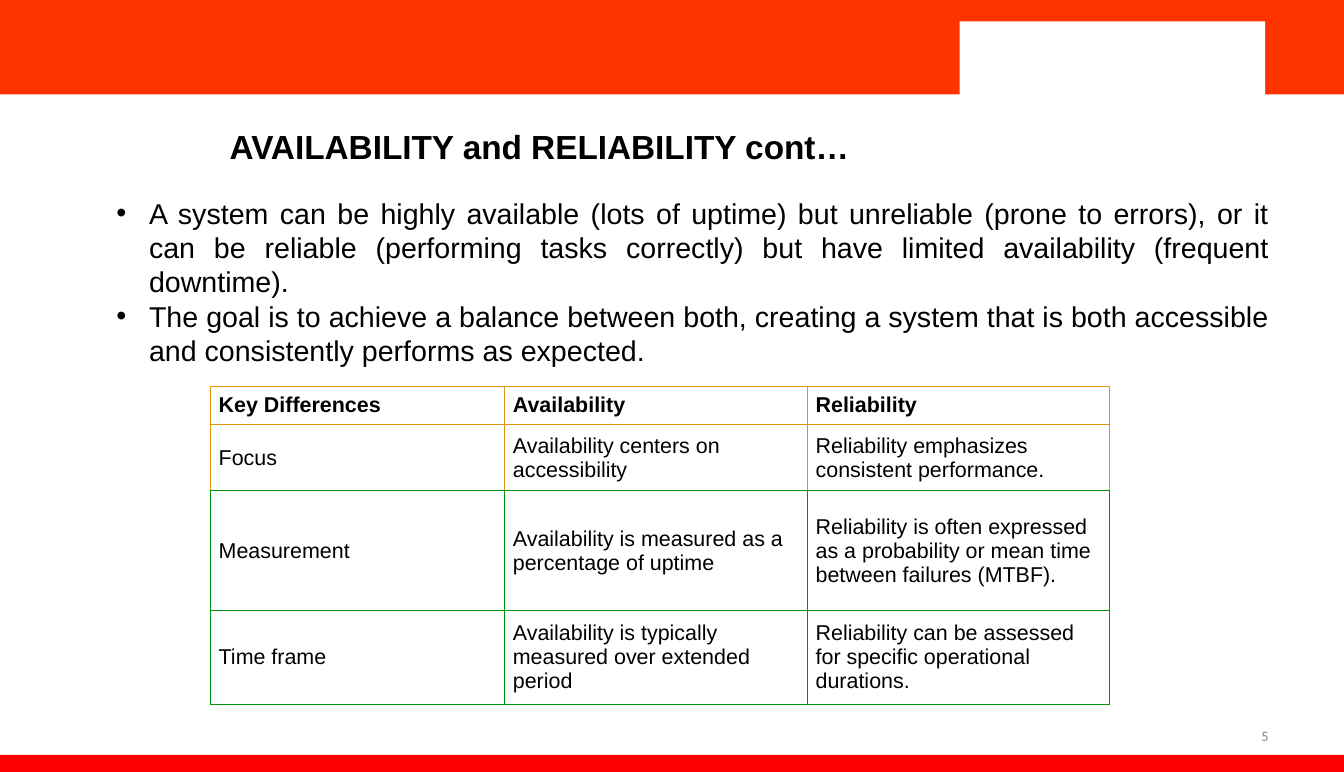
from lxml.etree import SubElement
from pptx import Presentation
from pptx.dml.color import RGBColor
from pptx.enum.shapes import MSO_SHAPE
from pptx.enum.text import MSO_ANCHOR, PP_ALIGN
from pptx.oxml.ns import qn
from pptx.util import Inches, Pt

COLORS = {
    "band": "FF3300",
    "footer": "FF0000",
    "white": "FFFFFF",
    "text": "000000",
    "number": "898989",
    "orange": "E0930E",
    "green": "00920E",
}
BULLETS = [
    "A system can be highly available (lots of uptime) but unreliable (prone to errors), "
    "or it can be reliable (performing tasks correctly) but have limited availability "
    "(frequent downtime).",
    "The goal is to achieve a balance between both, creating a system that is both "
    "accessible and consistently performs as expected.",
]
ROWS = [
    ["Key Differences", "Availability", "Reliability"],
    ["Focus", "Availability centers on accessibility",
     "Reliability emphasizes consistent performance."],
    ["Measurement", "Availability is measured as a percentage of uptime",
     "Reliability is often expressed as a probability or mean time between failures (MTBF)."],
    ["Time frame", "Availability is typically measured over extended period",
     "Reliability can be assessed for specific operational durations."],
]
COL_WIDTHS = [3.43, 3.53, 3.53]
ROW_HEIGHTS = [0.45, 0.77, 1.4, 1.09]
BORDERS = [
    ["orange"] * 4,
    ["orange", "orange", "orange", "green"],
    ["green"] * 4,
    ["green"] * 4,
]


def rgb(name):
    return RGBColor.from_string(COLORS[name])


def add_rect(s, box, color):
    sp = s.shapes.add_shape(MSO_SHAPE.RECTANGLE, *map(Inches, box))
    sp.shadow.inherit = False
    sp.fill.solid()
    sp.fill.fore_color.rgb = rgb(color)
    sp.line.fill.background()


def format_text(tf, size, color="text", bold=False, font="Arial", align=PP_ALIGN.LEFT):
    for p in tf.paragraphs:
        p.alignment = align
        for r in p.runs:
            r.font.name = font
            r.font.size = Pt(size)
            r.font.bold = bold
            r.font.color.rgb = rgb(color)


def add_text(s, box, text, size, **style):
    tf = s.shapes.add_textbox(*map(Inches, box)).text_frame
    tf.word_wrap = True
    tf.text = text
    format_text(tf, size, **style)
    return tf


def add_header(s, box):
    left, top, width, height = box
    add_rect(s, box, "band")
    add_rect(s, (left + 11.19, top + 0.25, 3.56, height - 0.2), "white")


def add_bullets(s, box):
    tf = add_text(s, box, "\n".join(BULLETS), 24, align=PP_ALIGN.JUSTIFY)
    for p in tf.paragraphs:
        pPr = p._p.get_or_add_pPr()
        pPr.set("marL", str(Inches(0.38)))
        pPr.set("indent", str(Inches(-0.38)))
        SubElement(pPr, qn("a:buFont"), typeface="Arial")
        SubElement(pPr, qn("a:buChar"), char="•")


def set_borders(cell, colors):
    tcPr = cell._tc.get_or_add_tcPr()
    for side, color in zip("LRTB", colors):
        ln = SubElement(tcPr, qn(f"a:ln{side}"), w=str(Pt(0.75)))
        fill = SubElement(ln, qn("a:solidFill"))
        SubElement(fill, qn("a:srgbClr"), val=COLORS[color])


def add_differences(s, box):
    table = s.shapes.add_table(len(ROWS), len(COL_WIDTHS), *map(Inches, box)).table
    table.horz_banding = False
    for column, width in zip(table.columns, COL_WIDTHS):
        column.width = Inches(width)
    for i, (row, height) in enumerate(zip(table.rows, ROW_HEIGHTS)):
        row.height = Inches(height)
        for cell, text in zip(row.cells, ROWS[i]):
            cell.text = text
            cell.vertical_anchor = MSO_ANCHOR.MIDDLE
            format_text(cell.text_frame, 18, bold=i == 0)
            set_borders(cell, BORDERS[i])
            cell.fill.background()


def add_footer(s, box):
    left, top, width, height = box
    add_rect(s, box, "footer")
    tf = add_text(s, (left + 11.23, top - 0.46, 3.66, 0.48), "5", 12,
                  color="number", font="Calibri", align=PP_ALIGN.RIGHT)
    tf.vertical_anchor = MSO_ANCHOR.MIDDLE


def main():
    prs = Presentation()
    prs.slide_width, prs.slide_height = Inches(15.67), Inches(9)
    s = prs.slides.add_slide(prs.slide_layouts[6])
    add_header(s, (0, 0, 15.67, 1.1))
    add_footer(s, (0, 8.8, 15.67, 0.2))
    add_bullets(s, (1.26, 2.23, 13.63, 2.52))
    add_text(s, (2.58, 1.42, 9.3, 0.57), "AVAILABILITY and RELIABILITY cont…", 28, bold=True)
    add_differences(s, (2.45, 4.5, sum(COL_WIDTHS), sum(ROW_HEIGHTS)))
    prs.save("out.pptx")


if __name__ == "__main__":
    main()
